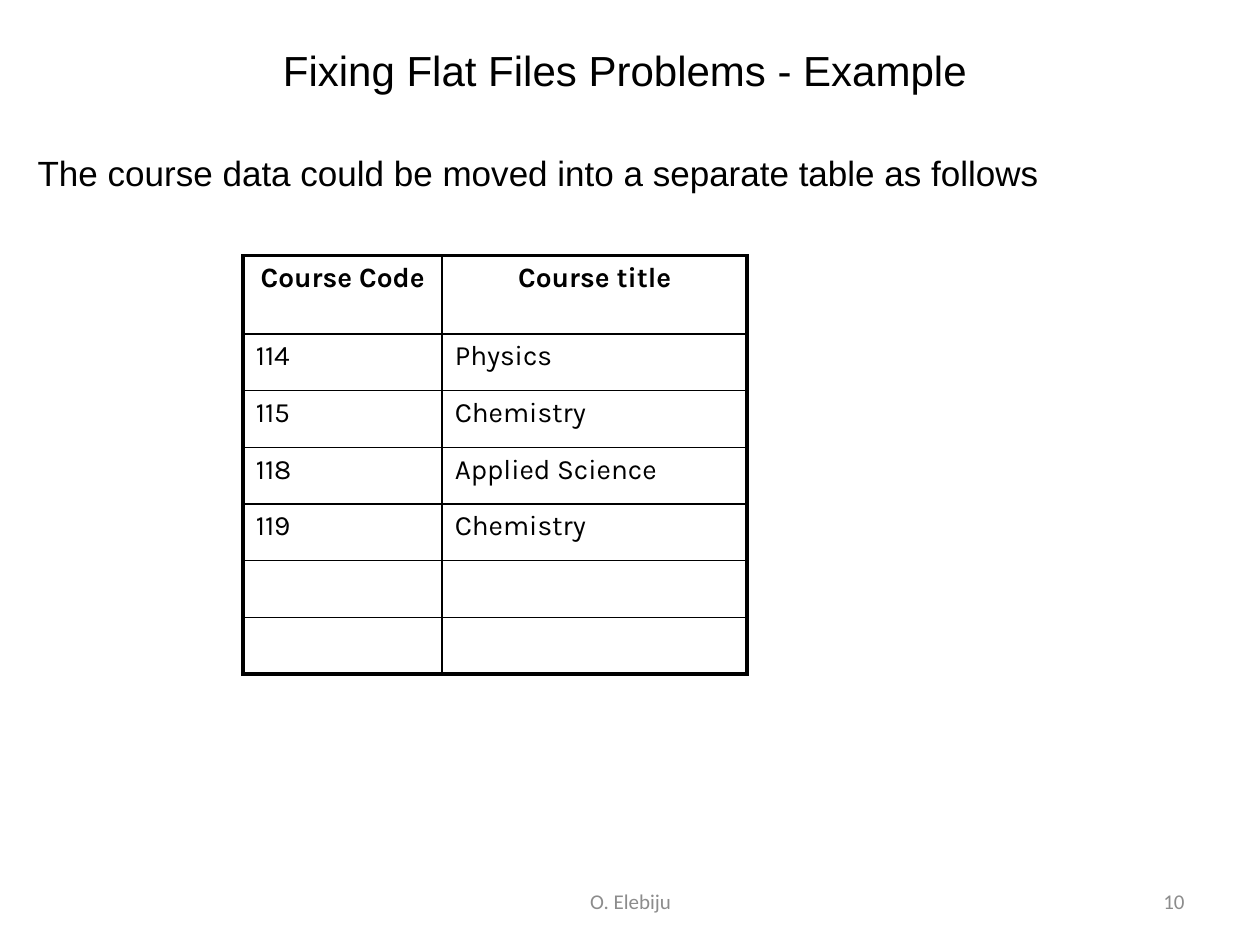
from lxml import etree
from pptx import Presentation
from pptx.dml.color import RGBColor
from pptx.enum.text import MSO_ANCHOR, PP_ALIGN
from pptx.oxml.ns import qn
from pptx.util import Inches, Pt

LEFT, CENTER, RIGHT = PP_ALIGN.LEFT, PP_ALIGN.CENTER, PP_ALIGN.RIGHT
TOP, MIDDLE = MSO_ANCHOR.TOP, MSO_ANCHOR.MIDDLE
BLACK, GRAY = "000000", "8C8C8C"
THICK, THIN = 2.25, 1


def write_text(text_frame, text, align, color, font_format):
    paragraph = text_frame.paragraphs[0]
    paragraph.alignment = align
    run = paragraph.add_run()
    run.text = text
    run.font.color.rgb = RGBColor.from_string(color)
    for name, value in font_format.items():
        setattr(run.font, name, value)


def add_border(cell, side, width):
    """Draw one cell side (L, R, T or B) as a black line, width in points."""
    line = etree.SubElement(cell._tc.get_or_add_tcPr(), qn(f"a:ln{side}"), w=str(Pt(width)))
    fill = etree.SubElement(line, qn("a:solidFill"))
    etree.SubElement(fill, qn("a:srgbClr"), val=BLACK)


presentation = Presentation()
presentation.slide_width = Inches(10)
presentation.slide_height = Inches(7.5)
slide = presentation.slides.add_slide(presentation.slide_layouts[6])

title_font = {"name": "Arial", "size": Pt(24)}
body_font = {"name": "Arial", "size": Pt(20)}
footer_font = {"name": "Calibri", "size": Pt(12)}
text_boxes = [
    ("Fixing Flat Files Problems - Example", (0.46, 0.21, 9, 0.69), MIDDLE, CENTER, BLACK, title_font),
    ("The course data could be moved into a separate table as follows",
     (0.2, 1.15, 9.45, 5.55), TOP, LEFT, BLACK, body_font),
    ("O. Elebiju", (3.42, 6.95, 3.17, 0.4), MIDDLE, CENTER, GRAY, footer_font),
    ("10", (7.17, 6.95, 2.33, 0.4), MIDDLE, RIGHT, GRAY, footer_font),
]
for text, place, anchor, align, color, font_format in text_boxes:
    text_frame = slide.shapes.add_textbox(*map(Inches, place)).text_frame
    text_frame.word_wrap = True
    text_frame.vertical_anchor = anchor
    write_text(text_frame, text, align, color, font_format)

courses = [
    ("Course Code", "Course title"),
    ("114", "Physics"),
    ("115", "Chemistry"),
    ("118", "Applied Science"),
    ("119", "Chemistry"),
    ("", ""),
    ("", ""),
]
column_widths = [1.58, 2.42]
row_heights = [0.62] + [0.45] * (len(courses) - 1)
last_row, last_column = len(courses) - 1, len(column_widths) - 1

table = slide.shapes.add_table(
    len(courses), len(column_widths), Inches(1.93), Inches(2.03),
    Inches(sum(column_widths)), Inches(sum(row_heights))).table
table.first_row = False
table.horz_banding = False
for column, width in zip(table.columns, column_widths):
    column.width = Inches(width)

for row_index, course in enumerate(courses):
    table.rows[row_index].height = Inches(row_heights[row_index])
    is_header = row_index == 0
    for column_index, text in enumerate(course):
        cell = table.cell(row_index, column_index)
        outer_sides = {
            "L": column_index == 0,
            "R": column_index == last_column,
            "T": is_header,
            "B": row_index == last_row,
        }
        for side, is_outer in outer_sides.items():
            add_border(cell, side, THICK if is_outer else THIN)
        cell.fill.background()
        if text:
            write_text(cell.text_frame, text, CENTER if is_header else LEFT, BLACK,
                       {"name": "Karla", "size": Pt(16), "bold": is_header})

presentation.save("out.pptx")
